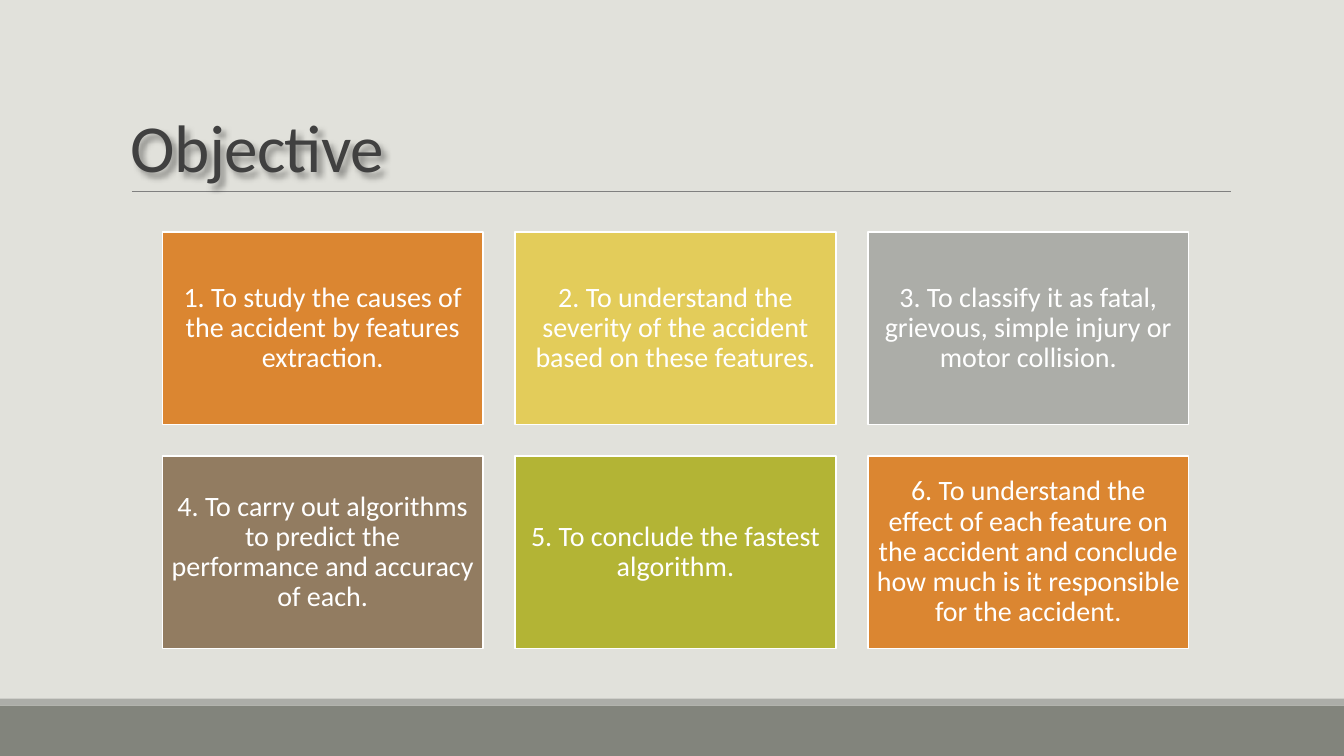
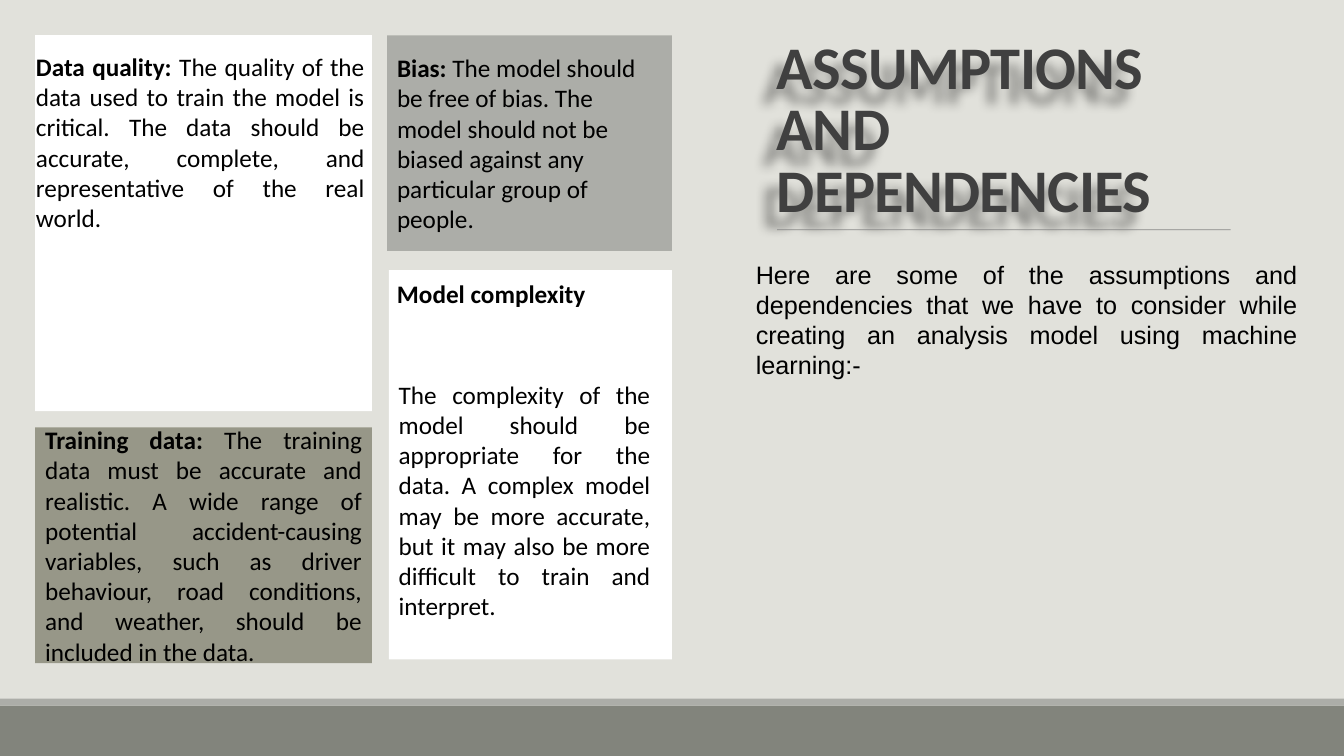
from dataclasses import dataclass

from lxml.etree import SubElement
from pptx import Presentation
from pptx.dml.color import RGBColor
from pptx.enum.shapes import MSO_CONNECTOR, MSO_SHAPE
from pptx.enum.text import MSO_ANCHOR, PP_ALIGN
from pptx.oxml.ns import qn
from pptx.util import Pt

COLORS = {
    "background": "E1E1DB", "footer": "82847C", "gray": "ACADA8",
    "title": "404040", "rule": "808080", "white": "FFFFFF", "black": "000000",
    "orange": "DB8631", "yellow": "E3CC5A", "brown": "927C61",
    "green": "B3B435", "olive": "797965",
}
WIDTH, HEIGHT = 960, 540
FOOTER_TOP, STRIPE_TOP = 504, 499


@dataclass(frozen=True)
class Area:
    """A rectangle in points."""
    left: float
    top: float
    width: float
    height: float

    def lengths(self) -> list:
        """Return the four measures as slide lengths."""
        return [Pt(value) for value in (self.left, self.top, self.width, self.height)]


@dataclass(frozen=True)
class Shadow:
    """A text shadow: blur and distance in points, direction in degrees."""
    blur: float
    distance: float
    direction: int


@dataclass(frozen=True)
class Panel:
    """A filled rectangle with optional text led by a bold phrase."""
    area: Area
    color: str
    lead: str = ""
    text: str = ""
    align: PP_ALIGN = PP_ALIGN.LEFT
    opacity: int = 100


@dataclass(frozen=True)
class Note:
    """A text box on the page, led by an optional bold phrase."""
    area: Area
    lead: str = ""
    text: str = ""
    font: str = "Calibri"
    align: PP_ALIGN = PP_ALIGN.JUSTIFY
    margins: tuple = (7.2, 3.6)


CARDS = [
    ("orange", "1. To study the causes of the accident by features extraction."),
    ("yellow", "2. To understand the severity of the accident based on these features."),
    ("gray", "3. To classify it as fatal, grievous, simple injury or motor collision."),
    ("brown", "4. To carry out algorithms to predict the performance and accuracy of each."),
    ("green", "5. To conclude the fastest algorithm."),
    ("orange", "6. To understand the effect of each feature on the accident and conclude "
               "how much is it responsible for the accident."),
]

PANELS = [
    Panel(Area(25.2, 25.2, 240.5, 268.5), "white"),
    Panel(Area(276.5, 25.2, 203.5, 154), "gray", "Bias:",
          " The model should be free of bias. The model should not be biased against "
          "any particular group of people."),
    Panel(Area(25.2, 305.3, 240.5, 168.5), "olive", "Training data:",
          " The training data must be accurate and realistic. A wide range of potential "
          "accident-causing variables, such as driver behaviour, road conditions, and "
          "weather, should be included in the data.", PP_ALIGN.JUSTIFY, 70),
    Panel(Area(277.7, 193, 202.3, 278), "white"),
]

NOTES = [
    Note(Area(25.7, 33.1, 234.7, 268.5), "Data quality:",
         " The quality of the data used to train the model is critical. The data should "
         "be accurate, complete, and representative of the real world.", margins=(0, 3.6)),
    Note(Area(276.5, 195.1, 381.6, 29), "Model complexity", align=PP_ALIGN.LEFT),
    Note(Area(277.7, 267.1, 193.9, 203.8),
         text="The complexity of the model should be appropriate for the data. A complex "
              "model may be more accurate, but it may also be more difficult to train and "
              "interpret."),
    Note(Area(532.8, 181.4, 401, 94.3),
         text="Here are some of the assumptions and dependencies that we have to consider "
              "while creating an analysis model using machine learning:-", font="Arial"),
]


def rgb(name: str) -> RGBColor:
    """Look up a named colour."""
    return RGBColor.from_string(COLORS[name])


def set_opacity(shape, percent: int) -> None:
    """Make the first colour of a shape partly transparent."""
    color = next(shape._element.spPr.iter(qn("a:srgbClr")))
    SubElement(color, qn("a:alpha")).set("val", str(percent * 1000))


def write_text(shape, text: str, *, lead: str = "", size: float = 18,
               font: str = "Calibri", color: str = "black", bold: bool = False,
               align: PP_ALIGN = PP_ALIGN.LEFT, anchor: MSO_ANCHOR = MSO_ANCHOR.TOP,
               margins: tuple = (7.2, 3.6), line_spacing: float = 1,
               tracking: float = 0) -> None:
    """Fill a shape with one formatted paragraph."""
    frame = shape.text_frame
    frame.word_wrap = True
    frame.vertical_anchor = anchor
    frame.margin_left = frame.margin_right = Pt(margins[0])
    frame.margin_top = frame.margin_bottom = Pt(margins[1])
    para = frame.paragraphs[0]
    para.alignment = align
    para.line_spacing = line_spacing
    for words, heavy in ((lead, True), (text, bold)):
        if not words:
            continue
        span = para.add_run()
        span.text = words
        span.font.name, span.font.size, span.font.bold = font, Pt(size), heavy
        span.font.color.rgb = rgb(color)
        if tracking:
            span._r.get_or_add_rPr().set("spc", str(int(tracking * 100)))


def add_rectangle(page, area: Area, color: str, *, outline: float = 0, opacity: int = 100):
    """Draw a flat rectangle, with a white outline if a width is given."""
    box = page.shapes.add_shape(MSO_SHAPE.RECTANGLE, *area.lengths())
    box.shadow.inherit = False
    box.fill.solid()
    box.fill.fore_color.rgb = rgb(color)
    if outline:
        box.line.color.rgb = rgb("white")
        box.line.width = Pt(outline)
    else:
        box.line.fill.background()
    if opacity < 100:
        set_opacity(box, opacity)
    return box


def add_rule(page, left: float, right: float, top: float, *, opacity: int = 100) -> None:
    """Draw the thin line under a title."""
    rule = page.shapes.add_connector(MSO_CONNECTOR.STRAIGHT, Pt(left), Pt(top), Pt(right), Pt(top))
    rule.line.color.rgb = rgb("rule")
    rule.line.width = Pt(0.5)
    SubElement(rule._element.spPr, qn("a:effectLst"))
    if opacity < 100:
        set_opacity(rule, opacity)


def add_title(page, area: Area, text: str, shadow: Shadow, *, size: float,
              bold: bool = False) -> None:
    """Write a bottom-anchored title with a soft shadow."""
    box = page.shapes.add_textbox(*area.lengths())
    write_text(box, text, size=size, color="title", bold=bold, anchor=MSO_ANCHOR.BOTTOM,
               line_spacing=0.85, tracking=-0.5)
    effects = SubElement(box._element.spPr, qn("a:effectLst"))
    outer = SubElement(effects, qn("a:outerShdw"), blurRad=str(Pt(shadow.blur)),
                       dist=str(Pt(shadow.distance)), dir=str(shadow.direction * 60000),
                       algn="tl", rotWithShape="0")
    tint = SubElement(outer, qn("a:srgbClr"), val=COLORS["black"])
    SubElement(tint, qn("a:alpha"), val="40000")


def add_page(deck):
    """Add a blank page with the shared background and footer bands."""
    page = deck.slides.add_slide(deck.slide_layouts[6])
    page.background.fill.solid()
    page.background.fill.fore_color.rgb = rgb("background")
    add_rectangle(page, Area(0, FOOTER_TOP, WIDTH, HEIGHT - FOOTER_TOP), "footer")
    add_rectangle(page, Area(0, STRIPE_TOP, WIDTH, FOOTER_TOP - STRIPE_TOP), "gray")
    return page


def build_objective(deck) -> None:
    """Build the page with a grid of six objectives."""
    page = add_page(deck)
    add_rule(page, 94.3, 879, 136.8)
    add_title(page, Area(86.4, 22.3, 792, 114.5), "Objective", Shadow(4, 4, 45), size=48)
    for index, (color, text) in enumerate(CARDS):
        row, column = divmod(index, 3)
        area = Area(116 + column * 252, 165.75 + row * 160, 229, 137.5)
        card = add_rectangle(page, area, color, outline=1.25)
        write_text(card, text, size=20, color="white", align=PP_ALIGN.CENTER,
                   anchor=MSO_ANCHOR.MIDDLE, margins=(6, 6), line_spacing=0.9)


def build_assumptions(deck) -> None:
    """Build the page with assumption panels and an introduction."""
    page = add_page(deck)
    add_title(page, Area(547.9, 49.7, 345, 114.5), "ASSUMPTIONS AND DEPENDENCIES",
              Shadow(8, 15, 135), size=43.2, bold=True)
    add_rule(page, 555.1, 879, 164.2, opacity=90)
    for panel in PANELS:
        box = add_rectangle(page, panel.area, panel.color, opacity=panel.opacity)
        if panel.text:
            write_text(box, panel.text, lead=panel.lead, align=panel.align,
                       anchor=MSO_ANCHOR.MIDDLE)
    for note in NOTES:
        box = page.shapes.add_textbox(*note.area.lengths())
        write_text(box, note.text, lead=note.lead, font=note.font, align=note.align,
                   margins=note.margins)


def main() -> None:
    """Create and save the deck."""
    deck = Presentation()
    deck.slide_width, deck.slide_height = Pt(WIDTH), Pt(HEIGHT)
    build_objective(deck)
    build_assumptions(deck)
    deck.save("out.pptx")


if __name__ == "__main__":
    main()
